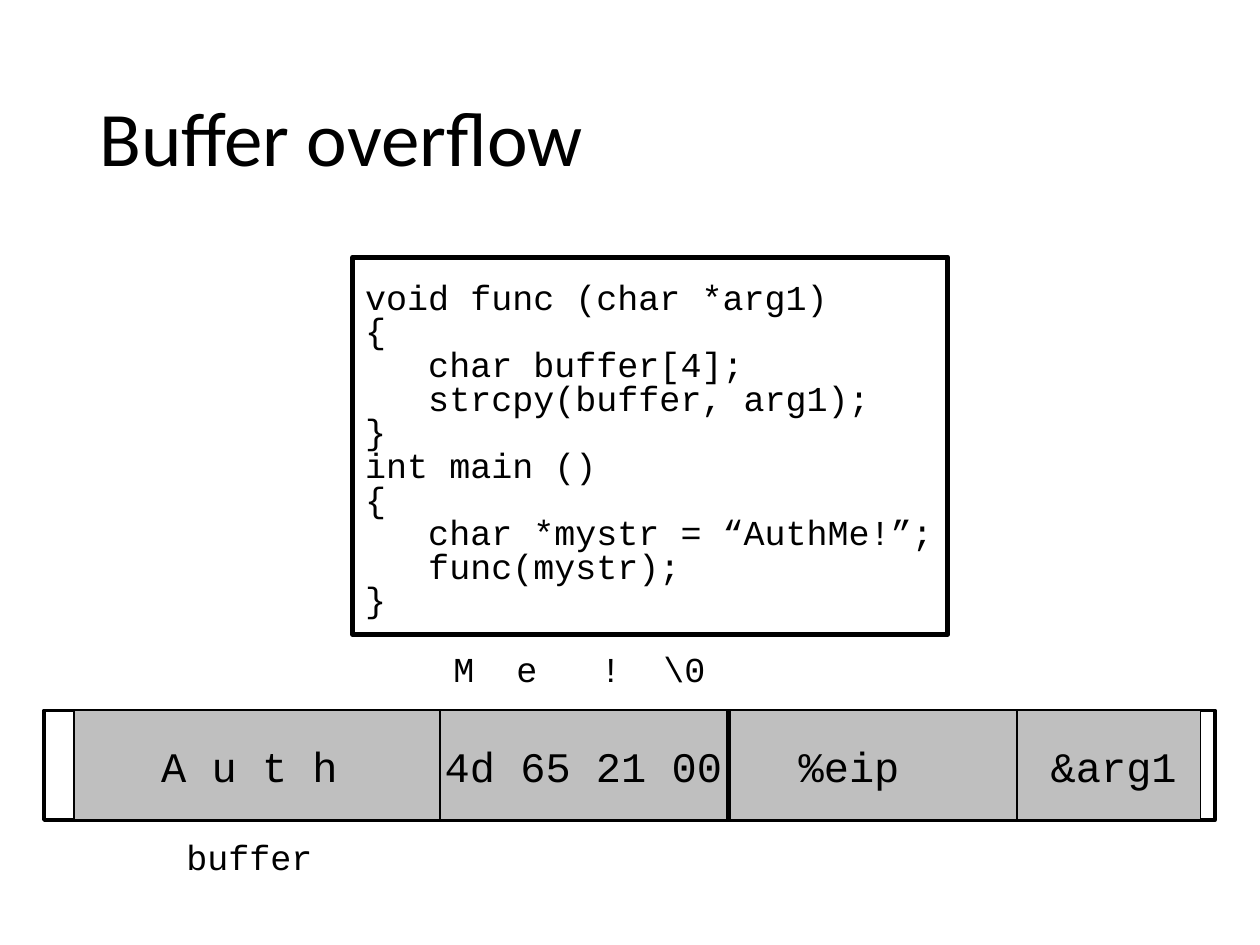
from lxml import etree
from pptx import Presentation
from pptx.dml.color import RGBColor
from pptx.enum.shapes import MSO_SHAPE
from pptx.enum.text import MSO_ANCHOR, PP_ALIGN
from pptx.oxml.ns import qn
from pptx.util import Pt

RECT = MSO_SHAPE.RECTANGLE
LEFT = PP_ALIGN.LEFT
MIDDLE = MSO_ANCHOR.MIDDLE
BLACK = "000000"
GREY = "BFBFBF"

CODE = """void func (char *arg1)
{
   char buffer[4];
   strcpy(buffer, arg1);
}
int main ()
{
   char *mystr = “AuthMe!”;
   func(mystr);
}"""


def color(code):
    return RGBColor.from_string(code)


class Deck:
    head = "Calibri"
    mono = "Courier New"

    def __init__(self):
        self.prs = Presentation()
        self.prs.slide_width, self.prs.slide_height = Pt(720), Pt(540)
        self.slide = self.prs.slides.add_slide(self.prs.slide_layouts[5])

    def style(self, frame, size, face, space=None):
        for par in frame.paragraphs:
            par.alignment = LEFT
            if space:
                par.line_spacing = space
            for run in par.runs:
                run.font.size = Pt(size)
                run.font.name = face
                run.font.color.rgb = color(BLACK)

    def title(self, text, x, y, w, h):
        box = self.slide.shapes.title
        box.left, box.top, box.width, box.height = Pt(x), Pt(y), Pt(w), Pt(h)
        box.text_frame.text = text
        box.text_frame.vertical_anchor = MIDDLE
        self.style(box.text_frame, 44, self.head, 0.9)

    def rect(self, x, y, w, h, line, fill=None):
        box = self.slide.shapes.add_shape(RECT, Pt(x), Pt(y), Pt(w), Pt(h))
        box.shadow.inherit = False
        if fill:
            box.fill.solid()
            box.fill.fore_color.rgb = color(fill)
        else:
            box.fill.background()
        box.line.color.rgb = color(BLACK)
        box.line.width = Pt(line)

    def text(self, text, x, y, w, h, size=20, space=None, wrap=False, tabs=()):
        box = self.slide.shapes.add_textbox(Pt(x), Pt(y), Pt(w), Pt(h))
        frame = box.text_frame
        frame.word_wrap = wrap
        frame.text = text
        self.style(frame, size, self.mono, space)
        if tabs:
            props = frame.paragraphs[0]._p.get_or_add_pPr()
            stops = etree.SubElement(props, qn("a:tabLst"))
            for pos in tabs:
                etree.SubElement(stops, qn("a:tab"), pos=str(Pt(pos)), algn="l")


def main():
    deck = Deck()
    deck.title("Buffer overflow", 49.5, 28.8, 621, 104.4)
    deck.rect(201.6, 147, 340, 215.5, 3)
    deck.text(CODE, 201.6, 158.4, 420, 219.6, space=0.8, wrap=True)

    top, high = 406, 62.6
    deck.rect(25.2, top, 669, high, 2.25)
    cells = [
        (581, 105, "&arg1", 593.3, 95),
        (417, 164, "%eip", 449.3, 124),
        (252, 164, None, 0, 0),
        (42.5, 209.5, "A u t h", 85, 116.6),
        (251.3, 164.2, "4d 65 21 00", 247, 174.2),
    ]
    for x, w, word, left, wide in cells:
        deck.rect(x, top, w, high, 1, GREY)
        if word:
            deck.text(word, left, 419.8, wide, 36, size=24)

    deck.text("buffer", 99.4, 473.8, 87.1, 31.7)
    deck.text("M\te\t!\t\\0", 252, 366.5, 187.2, 31.7, wrap=True, tabs=(36, 84, 120))
    deck.prs.save("out.pptx")


if __name__ == "__main__":
    main()
